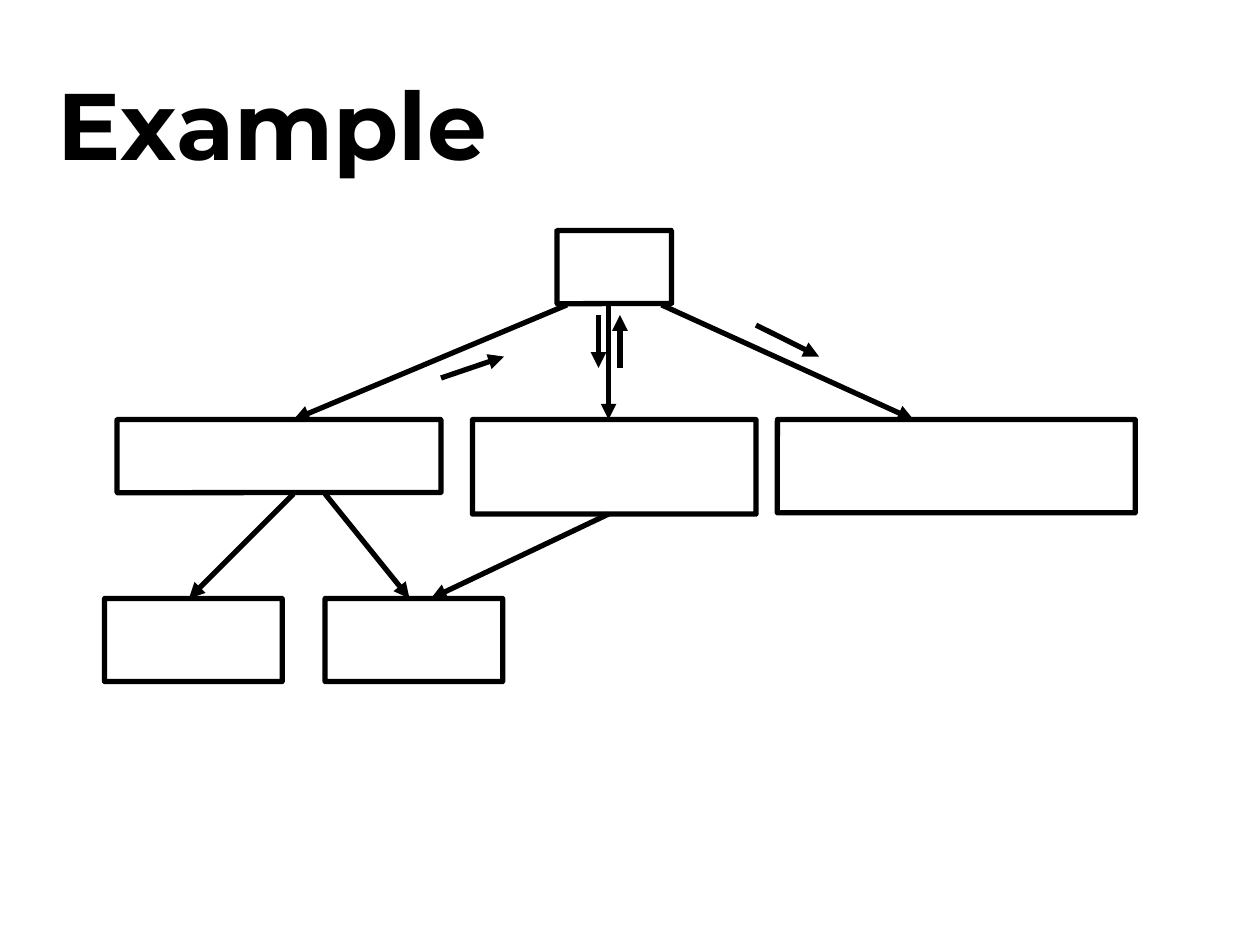
"""Build the example slide: a three-level box hierarchy with flow arrows."""
from typing import NamedTuple

import pptx
import pptx.dml.color
import pptx.enum.shapes
import pptx.enum.text
import pptx.oxml
import pptx.oxml.ns
import pptx.util
from pptx.util import Inches

BLACK = "000000"
LINE_WIDTH = pptx.util.Pt(3)
ROOT_BOTTOM, MIDDLE_TOP, LEAF_TOP = 2.42, 3.33, 4.75
LEFT_BOTTOM, CENTER_BOTTOM = 3.92, 4.08
CENTER_X = 4.83


class Node(NamedTuple):
    left: float
    top: float
    width: float
    height: float


class Arrow(NamedTuple):
    start_x: float
    start_y: float
    end_x: float
    end_y: float


NODES = [
    Node(4.42, 1.83, 0.91, 0.58),
    Node(3.75, MIDDLE_TOP, 2.25, 0.75),
    Node(6.17, MIDDLE_TOP, 2.84, 0.74),
    Node(0.93, MIDDLE_TOP, 2.57, 0.58),
    *(Node(left, LEAF_TOP, 1.41, 0.66) for left in (0.83, 2.58)),
]
BRANCHES = [
    Arrow(4.5, ROOT_BOTTOM, 2.33, MIDDLE_TOP),
    Arrow(2.33, LEFT_BOTTOM, 1.5, LEAF_TOP),
    Arrow(CENTER_X, ROOT_BOTTOM, CENTER_X, MIDDLE_TOP),
    Arrow(5.25, ROOT_BOTTOM, 7.25, MIDDLE_TOP),
    Arrow(2.58, LEFT_BOTTOM, 3.25, LEAF_TOP),
    Arrow(CENTER_X, CENTER_BOTTOM, 3.42, LEAF_TOP),
]
FLOWS = [
    Arrow(3.5, 3, 4, 2.83),
    Arrow(4.75, 2.5, 4.75, 2.92),
    Arrow(4.92, 2.92, 4.92, 2.5),
    Arrow(6, 2.58, 6.5, 2.83),
]


def color(value: str) -> pptx.dml.color.RGBColor:
    return pptx.dml.color.RGBColor.from_string(value)


def apply_format(target: object, values: dict) -> None:
    for attribute, value in values.items():
        setattr(target, attribute, value)


def format_line(line) -> None:
    line.color.rgb = color(BLACK)
    line.width = LINE_WIDTH


def draw_title(slide, wording: str) -> None:
    heading = slide.shapes.title
    apply_format(heading, {
        "left": Inches(0.44), "top": Inches(0.25),
        "width": Inches(8.5), "height": Inches(1.25),
    })
    frame = heading.text_frame
    frame.text = wording
    apply_format(frame, {
        "margin_left": Inches(0.02), "margin_right": Inches(0.02),
        "margin_top": Inches(0.24), "margin_bottom": Inches(0.05),
        "vertical_anchor": pptx.enum.text.MSO_ANCHOR.MIDDLE,
        "auto_size": pptx.enum.text.MSO_AUTO_SIZE.NONE,
        "word_wrap": True,
    })
    paragraph = frame.paragraphs[0]
    paragraph.alignment = pptx.enum.text.PP_ALIGN.LEFT
    font = paragraph.runs[0].font
    apply_format(font, {"name": "Montserrat", "size": pptx.util.Pt(54), "bold": True})
    font.color.rgb = color(BLACK)


def draw_node(slide, node: Node) -> None:
    box = slide.shapes.add_shape(
        pptx.enum.shapes.MSO_SHAPE.ROUNDED_RECTANGLE, *map(Inches, node))
    box.adjustments[0] = 0.003
    box.shadow.inherit = False
    box.fill.background()
    format_line(box.line)


def draw_arrow(slide, arrow: Arrow) -> None:
    connector = slide.shapes.add_connector(
        pptx.enum.shapes.MSO_CONNECTOR.STRAIGHT, *map(Inches, arrow))
    format_line(connector.line)
    properties = connector._element.spPr
    outline = properties.find(pptx.oxml.ns.qn("a:ln"))
    outline.append(pptx.oxml.parse_xml(
        f'<a:tailEnd {pptx.oxml.ns.nsdecls("a")} type="triangle"/>'))
    properties.append(pptx.oxml.parse_xml(
        f'<a:effectLst {pptx.oxml.ns.nsdecls("a")}/>'))


def main() -> None:
    deck = pptx.Presentation()
    apply_format(deck, {"slide_width": Inches(10), "slide_height": Inches(7.5)})
    slide = deck.slides.add_slide(deck.slide_layouts.get_by_name("Title Only"))
    draw_title(slide, "Example")
    for node in NODES:
        draw_node(slide, node)
    for arrow in BRANCHES + FLOWS:
        draw_arrow(slide, arrow)
    deck.save("out.pptx")


if __name__ == "__main__":
    main()
